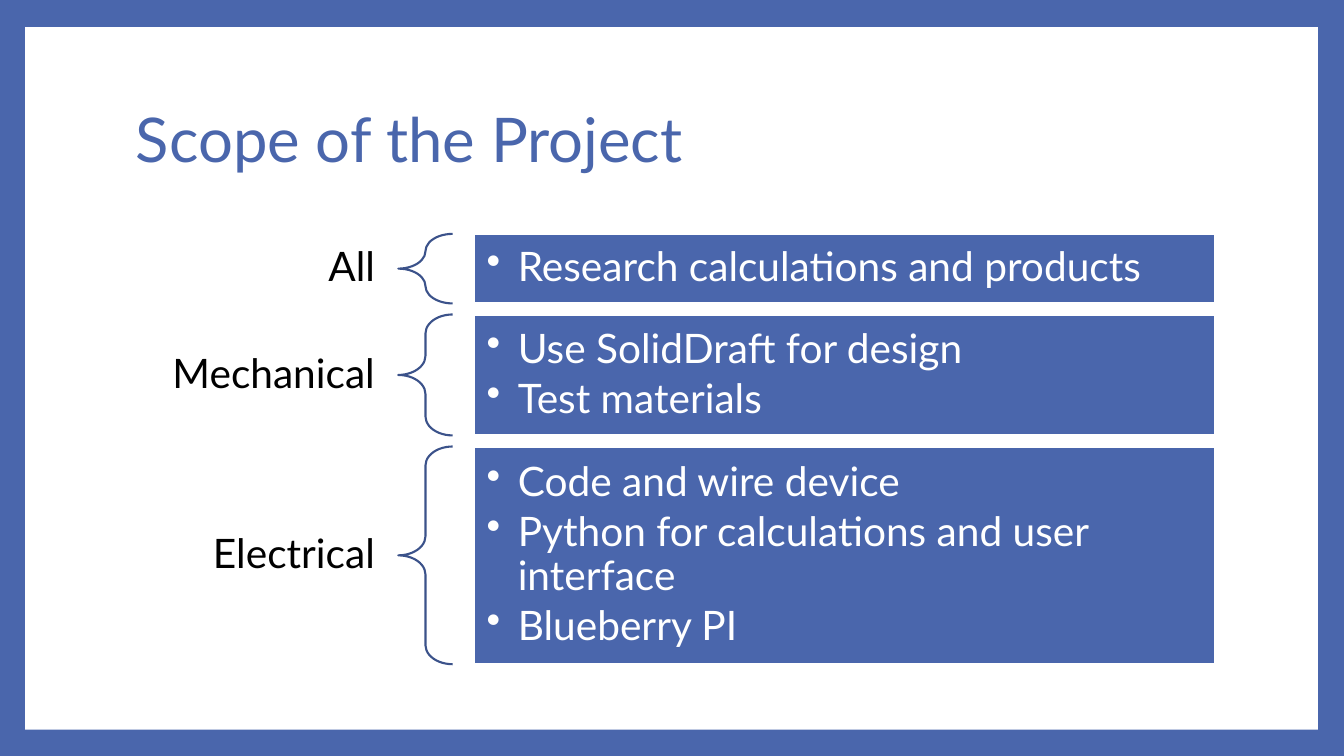
from collections import namedtuple
from dataclasses import dataclass

from lxml import etree
from pptx import Presentation
from pptx.dml.color import RGBColor
from pptx.enum.shapes import MSO_SHAPE
from pptx.enum.text import MSO_ANCHOR, PP_ALIGN
from pptx.oxml.ns import qn
from pptx.util import Inches, Pt

RECTANGLE = MSO_SHAPE.RECTANGLE
LEFT_BRACE = MSO_SHAPE.LEFT_BRACE
MIDDLE = MSO_ANCHOR.MIDDLE
LEFT, RIGHT = PP_ALIGN.LEFT, PP_ALIGN.RIGHT

Box = namedtuple("Box", "left top width height")


@dataclass(frozen=True)
class Theme:
    font: str = "Lato"
    blue: str = "4A66AC"
    brace: str = "3B528A"
    white: str = "FFFFFF"
    black: str = "000000"
    title_size: int = 44
    body_size: int = 29
    line_width: float = 1.5
    line_spacing: float = 0.9
    bullet_gap: float = 4.35
    bullet_indent: float = 0.31


THEME = Theme()
SLIDE_WIDTH, SLIDE_HEIGHT = 13.33, 7.5
PAPER = Box(0.25, 0.27, 12.82, 6.97)
TITLE = Box(1.25, 0.67, 10.8, 1.48)
SCOPE = Box(1.25, 2.32, 10.8, 4.28)
ROW_GAP = 0.11

# Shares of the scope width
LABEL_SHARE, BRACE_SHARE, GAP_SHARE = 0.25, 0.05, 0.02
PANEL_SHARE = 1 - LABEL_SHARE - BRACE_SHARE - GAP_SHARE

# Team, row height, tasks
SCOPE_ROWS = [
    ("All", 0.69, ["Research calculations and products"]),
    ("Mechanical", 1.2, ["Use SolidDraft for design", "Test materials"]),
    ("Electrical", 2.16, ["Code and wire device",
                          "Python for calculations and user interface",
                          "Blueberry PI"]),
]


def color(value):
    return RGBColor.from_string(value)


def inches(box):
    return [Inches(length) for length in box]


def add_bullet(paragraph):
    properties = paragraph._p.get_or_add_pPr()
    indent = Inches(THEME.bullet_indent)
    properties.set("marL", str(indent))
    properties.set("indent", str(-indent))
    etree.SubElement(properties, qn("a:buChar")).set("char", "•")


def write_text(shape, lines, *, size, ink, align=LEFT, margins=(0.1, 0.05), bullets=False):
    frame = shape.text_frame
    frame.word_wrap = True
    frame.vertical_anchor = MIDDLE
    frame.margin_left = frame.margin_right = Inches(margins[0])
    frame.margin_top = frame.margin_bottom = Inches(margins[1])
    for index, line in enumerate(lines):
        paragraph = frame.add_paragraph() if index else frame.paragraphs[0]
        paragraph.alignment = align
        paragraph.line_spacing = THEME.line_spacing
        if bullets:
            paragraph.space_after = Pt(THEME.bullet_gap)
            add_bullet(paragraph)
        run = paragraph.add_run()
        run.text = line
        run.font.name = THEME.font
        run.font.size = Pt(size)
        run.font.color.rgb = color(ink)


def add_figure(slide, preset, box, fill=None, line=None):
    shape = slide.shapes.add_shape(preset, *inches(box))
    shape.shadow.inherit = False
    if fill:
        shape.fill.solid()
        shape.fill.fore_color.rgb = color(fill)
    else:
        shape.fill.background()
    if line:
        shape.line.color.rgb = color(line)
        shape.line.width = Pt(THEME.line_width)
    else:
        shape.line.fill.background()
    return shape


def add_frame(slide, box):
    """Leave a coloured border around a white sheet."""
    slide.background.fill.solid()
    slide.background.fill.fore_color.rgb = color(THEME.blue)
    add_figure(slide, RECTANGLE, box, fill=THEME.white)


def add_title(slide, box, text):
    write_text(slide.shapes.add_textbox(*inches(box)), [text],
               size=THEME.title_size, ink=THEME.blue)


def add_scope_row(slide, box, team, tasks):
    """Place a team label, a brace and the panel of its tasks side by side."""
    label_width = box.width * LABEL_SHARE
    brace_width = box.width * BRACE_SHARE
    panel_width = box.width * PANEL_SHARE
    brace_left = box.left + label_width
    panel_left = box.left + box.width - panel_width

    label = slide.shapes.add_textbox(*inches(box._replace(width=label_width)))
    write_text(label, [team], size=THEME.body_size, ink=THEME.black,
               align=RIGHT, margins=(0.23, 0.02))

    brace = add_figure(slide, LEFT_BRACE,
                       box._replace(left=brace_left, width=brace_width), line=THEME.brace)
    brace.adjustments[0] = 0.35

    panel = add_figure(slide, RECTANGLE, box._replace(left=panel_left, width=panel_width),
                       fill=THEME.blue, line=THEME.white)
    write_text(panel, tasks, size=THEME.body_size, ink=THEME.white,
               margins=(0.12, 0.12), bullets=True)


def add_scope(slide, box, rows):
    top = box.top
    for team, height, tasks in rows:
        add_scope_row(slide, box._replace(top=top, height=height), team, tasks)
        top += height + ROW_GAP


def main():
    presentation = Presentation()
    presentation.slide_width = Inches(SLIDE_WIDTH)
    presentation.slide_height = Inches(SLIDE_HEIGHT)
    slide = presentation.slides.add_slide(presentation.slide_layouts[6])
    add_frame(slide, PAPER)
    add_title(slide, TITLE, "Scope of the Project")
    add_scope(slide, SCOPE, SCOPE_ROWS)
    presentation.save("out.pptx")


if __name__ == "__main__":
    main()
